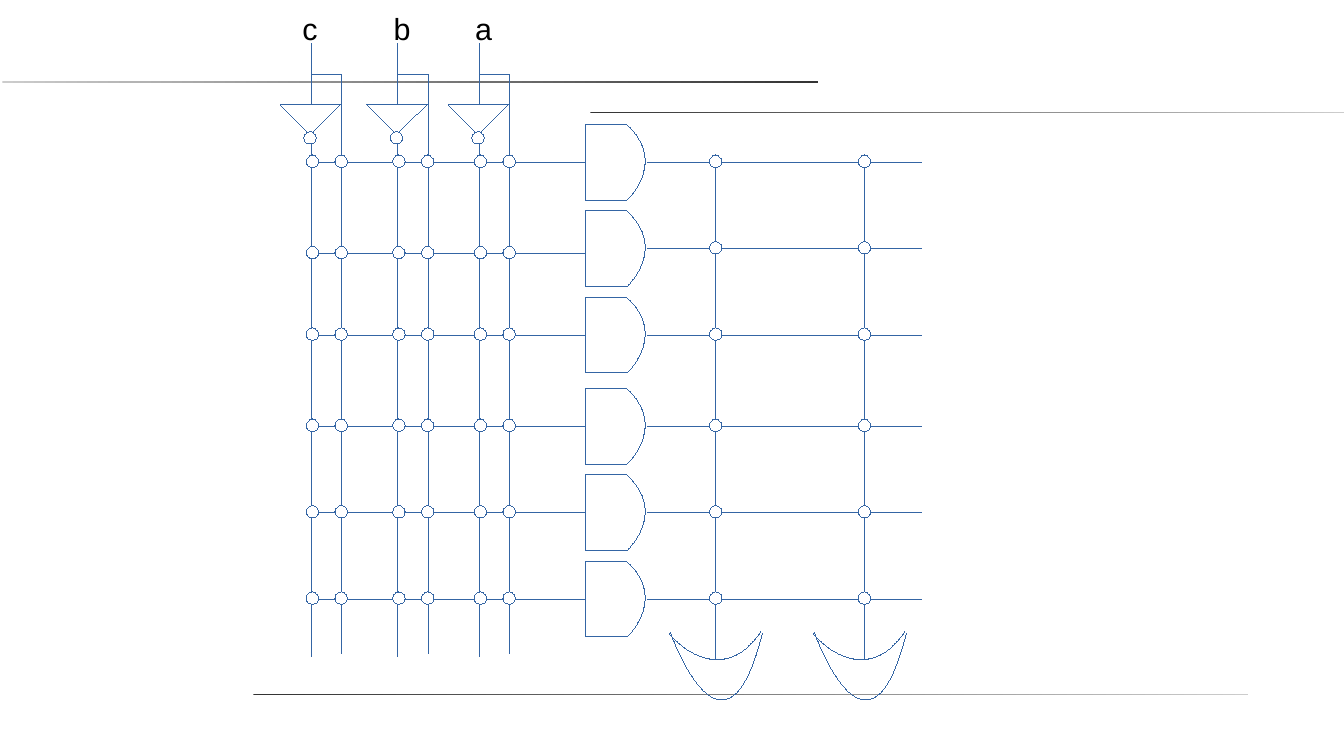
from lxml.etree import SubElement
from pptx import Presentation
from pptx.dml.color import RGBColor
from pptx.enum.shapes import MSO_CONNECTOR, MSO_SHAPE
from pptx.oxml.ns import qn
from pptx.util import Cm, Pt

BLUE = RGBColor(0x34, 0x65, 0xA4)
WHITE = RGBColor(0xFF, 0xFF, 0xFF)
BLACK = RGBColor(0x00, 0x00, 0x00)
DARK = RGBColor(0x33, 0x33, 0x33)
LIGHT = RGBColor(0xCC, 0xCC, 0xCC)

# All lengths are in centimetres.
INPUTS = [("c", 6.05, 6.48), ("b", 7.95, 8.28), ("a", 9.65, 9.98)]  # name, label left, wire x
BRANCH = 0.64
INPUT_ROWS = [3.38, 5.28, 6.98, 8.88, 10.68, 12.48]
OUTPUT_ROWS = [3.38, 5.18, 6.98, 8.88, 10.68, 12.48]
SUM_COLUMNS = [14.91, 18.01]
AND_LEFT, AND_SHOULDER, AND_HALF = 12.2, 13.06, 0.79
OR_LEFT, OR_STEP = 13.94, 3.0
DOT = 0.26


def style_outline(shape):
    """Give a hairline; the theme style would override a zero width."""
    shape._element.remove(shape._element.find(qn("p:style")))
    shape.line.color.rgb = BLUE
    shape.line.width = Pt(0)


def add_wire(shapes, x1, y1, x2, y2):
    wire = shapes.add_connector(MSO_CONNECTOR.STRAIGHT, Cm(x1), Cm(y1), Cm(x2), Cm(y2))
    style_outline(wire)
    SubElement(wire._element.spPr, qn("a:effectLst"))


def add_dot(shapes, x, y):
    """Add a small white circle centred on x, y."""
    dot = shapes.add_shape(MSO_SHAPE.OVAL, Cm(x - DOT / 2), Cm(y - DOT / 2), Cm(DOT), Cm(DOT))
    dot.shadow.inherit = False
    dot.fill.solid()
    dot.fill.fore_color.rgb = WHITE
    style_outline(dot)


def add_curve(shapes, start, control, end):
    """Draw a cubic curve whose second control point lies on its end."""
    # The point a third of the way along marks the outermost bend.
    bend = [(8 * a + 12 * b + 7 * c) / 27 for a, b, c in zip(start, control, end)]
    builder = shapes.build_freeform(Cm(start[0]), Cm(start[1]))
    builder.add_line_segments([(Cm(x), Cm(y)) for x, y in (bend, end)], close=False)
    curve = builder.convert_to_shape()
    curve.shadow.inherit = False
    curve.fill.background()
    style_outline(curve)

    segments = list(curve._element.iter(qn("a:lnTo")))
    outline = segments[0].getparent()
    for segment in segments:
        outline.remove(segment)
    bezier = SubElement(outline, qn("a:cubicBezTo"))
    for x, y in (control, end, end):
        SubElement(bezier, qn("a:pt"), x=str(Cm(x) - curve.left), y=str(Cm(y) - curve.top))


def add_rule(shapes, left, top, width, height, colors):
    """Add a thin decorative bar that fades from left to right."""
    rule = shapes.add_shape(MSO_SHAPE.RECTANGLE, Cm(left), Cm(top), Cm(width), Cm(height))
    rule.shadow.inherit = False
    rule.line.fill.background()
    rule.fill.gradient()
    rule.fill.gradient_angle = 0
    for stop, color in zip(rule.fill.gradient_stops, colors):
        stop.color.rgb = color


def add_label(shapes, text, left):
    label = shapes.add_textbox(Cm(left), Cm(0.08), Cm(0.84), Cm(0.97))
    text_frame = label.text_frame
    text_frame.word_wrap = False
    text_frame.text = text
    font = text_frame.paragraphs[0].runs[0].font
    font.name = "Arial"
    font.size = Pt(18)
    font.color.rgb = BLACK


def add_inverter(shapes, x):
    inverter = shapes.add_group_shape().shapes
    top, tip = 2.18, 2.82
    add_wire(inverter, x - 0.64, top, x + 0.63, top)
    add_wire(inverter, x - 0.64, top, x, tip)
    add_wire(inverter, x + 0.61, top, x - 0.05, tip)
    add_dot(inverter, x - 0.02, 2.87)


def add_input(shapes, name, label_left, x):
    """Add an input with its inverted wire and its direct wire."""
    add_label(shapes, name, label_left)
    add_wire(shapes, x, 0.91, x, 2.18)
    add_inverter(shapes, x)
    add_wire(shapes, x, 3.0, x, 13.67)
    add_wire(shapes, x, 1.55, x + BRANCH, 1.55)
    add_wire(shapes, x + BRANCH, 1.55, x + BRANCH, 13.61)


def add_and_gate(shapes, y):
    gate = shapes.add_group_shape().shapes
    top, bottom = y - AND_HALF, y + AND_HALF
    add_wire(gate, AND_LEFT, top, AND_LEFT, bottom)
    add_curve(gate, (AND_SHOULDER, top), (13.92, y), (AND_SHOULDER, bottom))
    for edge in (top, bottom):
        add_wire(gate, AND_LEFT, edge, AND_SHOULDER, edge)


def add_or_gate(shapes, left):
    gate = shapes.add_group_shape().shapes
    add_curve(gate, (left + 1.94, 13.2), (left + 1.15, 16.32), (left + 0.03, 13.18))
    add_curve(gate, (left + 1.91, 13.16), (left + 1.02, 14.45), (left, 13.2))


def add_junctions(shapes, columns, rows):
    for y in rows:
        for x in columns:
            add_dot(shapes, x, y - 0.02)


def main():
    presentation = Presentation()
    presentation.slide_width = Cm(28)
    presentation.slide_height = Cm(15.75)
    slide = presentation.slides.add_slide(presentation.slide_layouts[6])
    shapes = slide.shapes

    add_rule(shapes, 0.05, 1.68, 17, 0.05, (LIGHT, DARK))
    add_rule(shapes, 12.3, 2.33, 15.7, 0.02, (DARK, LIGHT))
    add_rule(shapes, 5.28, 14.45, 20.73, 0.02, (DARK, LIGHT))

    for name, label_left, x in INPUTS:
        add_input(shapes, name, label_left, x)
    for input_y, output_y in zip(INPUT_ROWS, OUTPUT_ROWS):
        add_and_gate(shapes, output_y)
        add_wire(shapes, INPUTS[0][2], input_y, AND_LEFT, input_y)
        add_wire(shapes, 13.49, output_y, 19.2, output_y)
    for index, x in enumerate(SUM_COLUMNS):
        add_or_gate(shapes, OR_LEFT + index * OR_STEP)
        add_wire(shapes, x, 13.74, x, OUTPUT_ROWS[0])

    input_columns = [x + offset for _, _, x in INPUTS for offset in (0.03, 0.63)]
    add_junctions(shapes, input_columns, INPUT_ROWS)
    add_junctions(shapes, SUM_COLUMNS, OUTPUT_ROWS)
    presentation.save("out.pptx")


if __name__ == "__main__":
    main()
